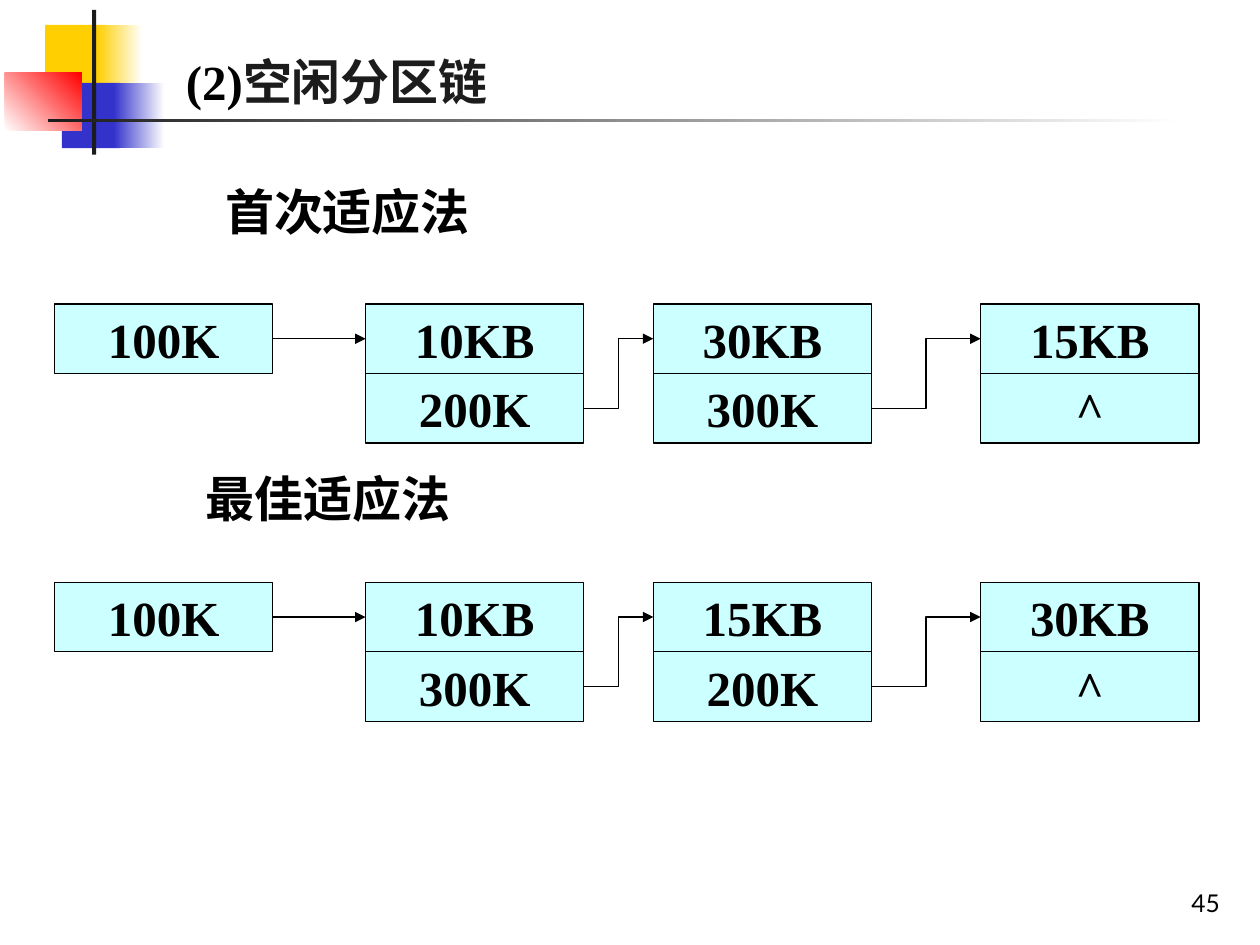
from dataclasses import dataclass
from itertools import pairwise

from lxml.etree import SubElement
from pptx import Presentation
from pptx.dml.color import RGBColor
from pptx.enum.shapes import MSO_CONNECTOR as Connector, MSO_SHAPE as Preset
from pptx.enum.text import MSO_ANCHOR as Anchor, MSO_AUTO_SIZE as AutoSize, PP_ALIGN as Align
from pptx.oxml.ns import qn
from pptx.util import Cm, Pt


@dataclass(frozen=True)
class Theme:
    black: str = "000000"
    dark: str = "1C1C1C"
    white: str = "FFFFFF"
    yellow: str = "FFCF01"
    blue: str = "3333CC"
    red: str = "FF0000"
    cell: str = "CCFFFF"
    serif: str = "Times New Roman"
    sans: str = "Lato"
    body_size: int = 28
    number_size: int = 14
    line_width: float = 0.75


@dataclass(frozen=True)
class Box:
    """A region of the slide, in centimetres."""
    left: float
    top: float
    width: float
    height: float

    def inner(self, left, top, width, height):
        return Box(self.left + left, self.top + top, width, height)

    def lengths(self):
        return [Cm(value) for value in (self.left, self.top, self.width, self.height)]


THEME = Theme()
RIGHT_SITE, LEFT_SITE = 3, 1
CELL_WIDTH, CELL_HEIGHT = 4.4, 1.4
NODE_OFFSETS = (6.27, 12.07, 18.67)


def rgb(color):
    return RGBColor.from_string(color)


def set_font(font, name=THEME.serif, size=THEME.body_size, color=THEME.black, bold=True):
    font.name, font.size, font.bold = name, Pt(size), bold
    font.color.rgb = rgb(color)


def add_rectangle(shapes, box, *colors, angle=0):
    """Fill with one colour, or with a gradient between two."""
    shape = shapes.add_shape(Preset.RECTANGLE, *box.lengths())
    shape.shadow.inherit = False
    shape.line.fill.background()
    if len(colors) == 1:
        shape.fill.solid()
        shape.fill.fore_color.rgb = rgb(colors[0])
    else:
        shape.fill.gradient()
        shape.fill.gradient_angle = angle
        for stop, color in zip(shape.fill.gradient_stops, colors):
            stop.color.rgb = rgb(color)
    return shape


def add_decoration(slide, box):
    shapes = slide.shapes
    add_rectangle(shapes, box.inner(0.81, 0.3, 1.22, 1.32), THEME.yellow)
    add_rectangle(shapes, box.inner(1.86, 0.3, 0.91, 1.32), THEME.yellow, THEME.white)
    add_rectangle(shapes, box.inner(1.15, 1.47, 1.17, 1.32), THEME.blue)
    add_rectangle(shapes, box.inner(2.19, 1.47, 1.02, 1.32), THEME.blue, THEME.white)
    add_rectangle(shapes, box.inner(0, 1.27, 1.55, 1.17), THEME.white, THEME.red, angle=45)
    add_rectangle(shapes, box.inner(1.76, 0, 0.08, box.height), THEME.dark)
    add_rectangle(shapes, box.inner(0.87, 2.19, 22.86, 0.08), THEME.dark, THEME.white)


def add_text_box(slide, box):
    frame = slide.shapes.add_textbox(*box.lengths()).text_frame
    frame.word_wrap = True
    return frame


def add_title(slide, box, number, title):
    frame = add_text_box(slide, box)
    frame.auto_size = AutoSize.SHAPE_TO_FIT_TEXT
    paragraph = frame.paragraphs[0]
    for text, name, color in ((number, THEME.serif, THEME.black), (title, THEME.sans, THEME.dark)):
        run = paragraph.add_run()
        run.text = text
        set_font(run.font, name=name, color=color)


def add_heading(slide, box, text):
    frame = add_text_box(slide, box)
    frame.auto_size = AutoSize.SHAPE_TO_FIT_TEXT
    frame.text = text
    set_font(frame.paragraphs[0].font)


def add_page_number(slide, box, number):
    frame = add_text_box(slide, box)
    frame.vertical_anchor = Anchor.BOTTOM
    frame.text = number
    paragraph = frame.paragraphs[0]
    paragraph.alignment = Align.RIGHT
    set_font(paragraph.font, name=THEME.sans, size=THEME.number_size, bold=False)


def add_cell(shapes, box, text):
    shape = add_rectangle(shapes, box, THEME.cell)
    shape.line.color.rgb = rgb(THEME.black)
    shape.line.width = Pt(THEME.line_width)
    frame = shape.text_frame
    frame.word_wrap = False
    frame.vertical_anchor = Anchor.MIDDLE
    frame.text = text
    paragraph = frame.paragraphs[0]
    paragraph.alignment = Align.CENTER
    set_font(paragraph.font)
    return shape


def add_arrow(shapes, source, target):
    """Join the right side of source to the left side of target."""
    kind = Connector.STRAIGHT if source.top == target.top else Connector.ELBOW
    arrow = shapes.add_connector(
        kind,
        source.left + source.width, source.top + source.height // 2,
        target.left, target.top + target.height // 2,
    )
    arrow.begin_connect(source, RIGHT_SITE)
    arrow.end_connect(target, LEFT_SITE)
    arrow.line.color.rgb = rgb(THEME.black)
    arrow.line.width = Pt(THEME.line_width)
    properties = arrow._element.spPr
    SubElement(properties.find(qn("a:ln")), qn("a:tailEnd"), type="triangle")
    SubElement(properties, qn("a:effectLst"))


def add_chain(slide, box, start, nodes):
    """Draw a start pointer and its linked (size, next address) nodes."""
    shapes = slide.shapes.add_group_shape().shapes
    head = add_cell(shapes, box.inner(0, 0, CELL_WIDTH, CELL_HEIGHT), start)
    links = [(head, head)]
    for offset, (size, address) in zip(NODE_OFFSETS, nodes):
        links.append((
            add_cell(shapes, box.inner(offset, 0, CELL_WIDTH, CELL_HEIGHT), size),
            add_cell(shapes, box.inner(offset, CELL_HEIGHT, CELL_WIDTH, CELL_HEIGHT), address),
        ))
    for (_, pointer), (target, _) in pairwise(links):
        add_arrow(shapes, pointer, target)


def main():
    presentation = Presentation()
    presentation.slide_width, presentation.slide_height = Cm(25.4), Cm(19.05)
    slide = presentation.slides.add_slide(presentation.slide_layouts[6])

    add_decoration(slide, Box(0.1, 0.2, 23.73, 2.92))
    add_page_number(slide, Box(19.56, 17.35, 5.28, 1.27), "45")
    add_title(slide, Box(3.5, 0.91, 7.8, 1.45), "(2)", "空闲分区链")

    add_heading(slide, Box(4.29, 3.53, 12.19, 1.45), "首次适应法")
    add_chain(slide, Box(1.1, 6.13, 23.07, 2.8), "100K",
              [("10KB", "200K"), ("30KB", "300K"), ("15KB", "^")])

    add_heading(slide, Box(3.89, 9.32, 12.19, 1.45), "最佳适应法")
    add_chain(slide, Box(1.1, 11.74, 23.07, 2.8), "100K",
              [("10KB", "300K"), ("15KB", "200K"), ("30KB", "^")])

    presentation.save("out.pptx")


if __name__ == "__main__":
    main()
